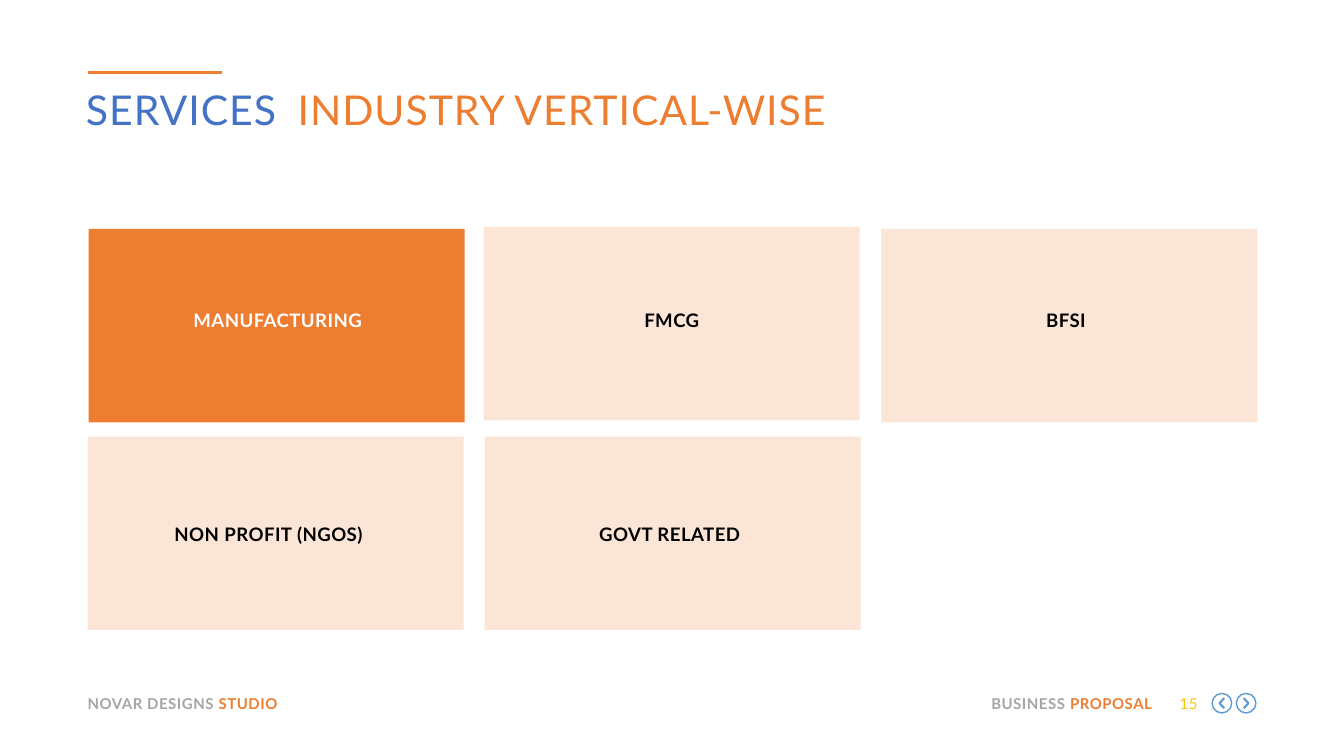
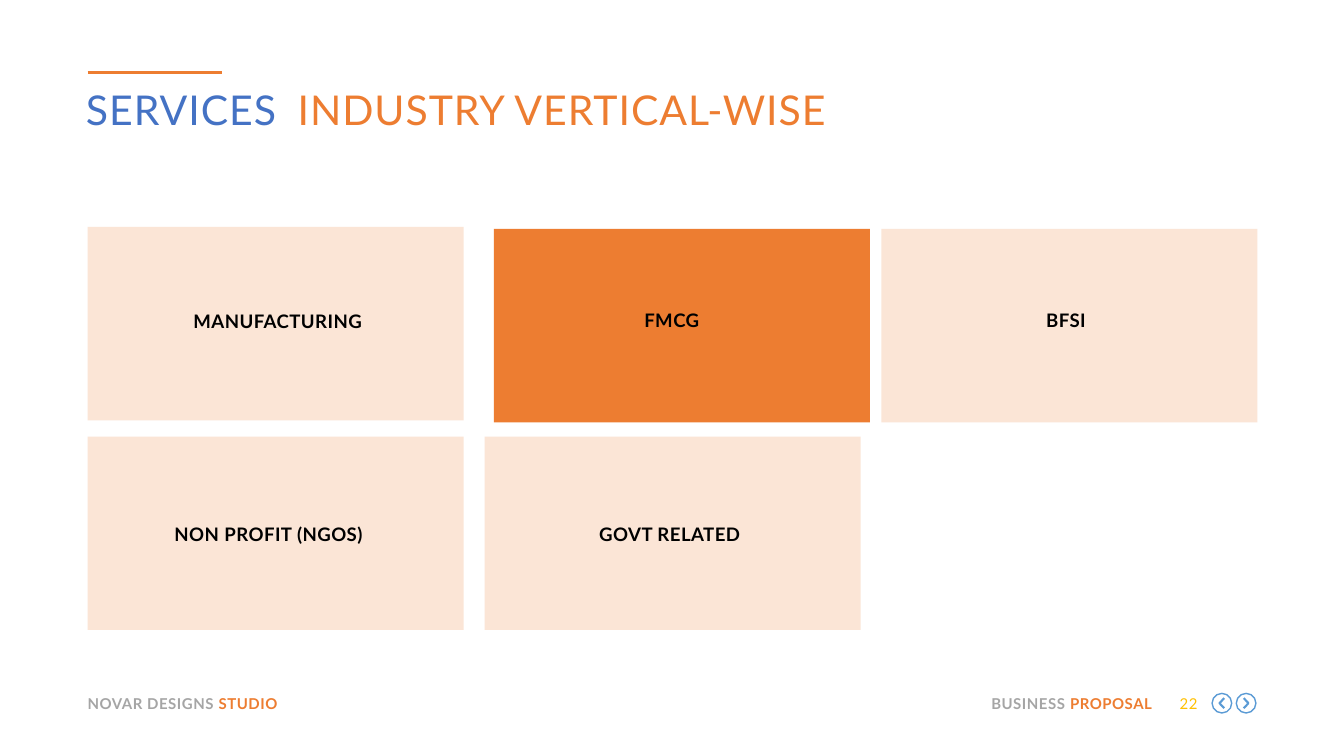
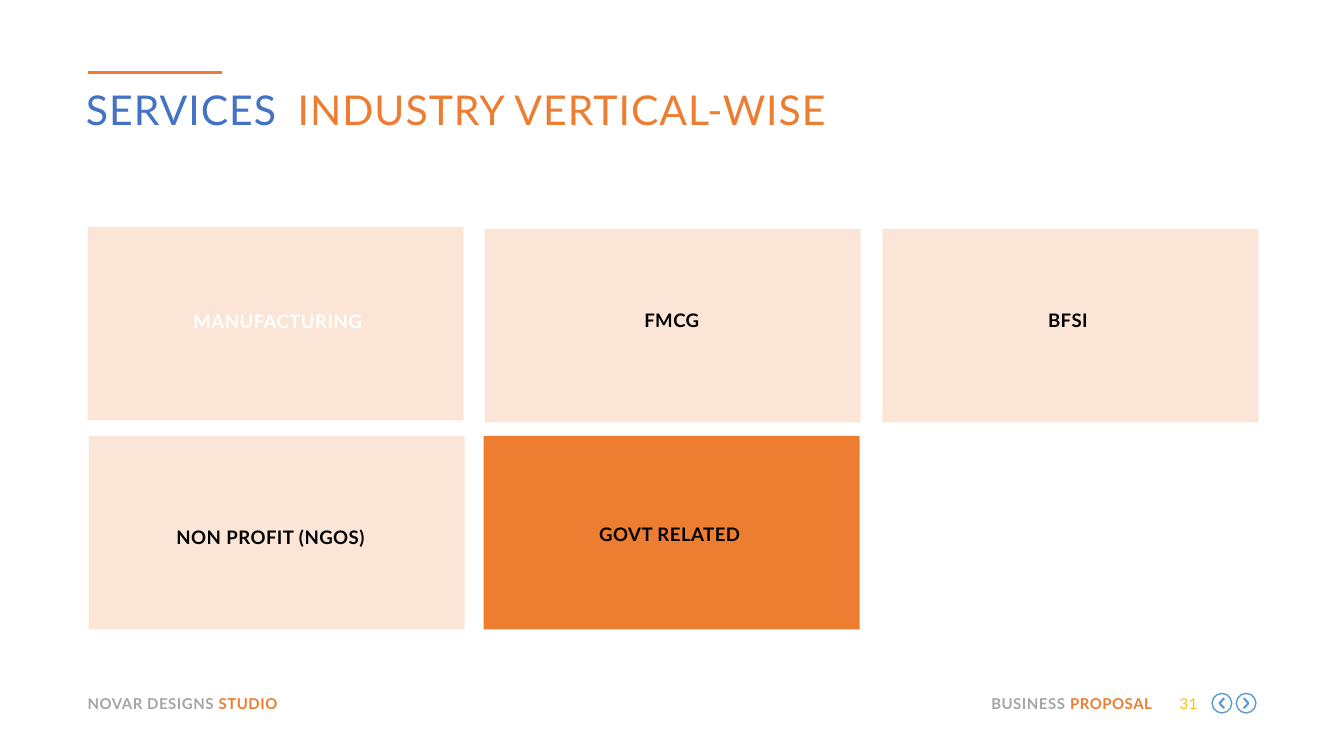
from pptx import Presentation
from pptx.dml.color import RGBColor
from pptx.enum.shapes import MSO_CONNECTOR, MSO_SHAPE
from pptx.enum.text import MSO_ANCHOR, MSO_AUTO_SIZE, PP_ALIGN
from pptx.oxml.ns import qn
from pptx.util import Pt
from lxml import etree

STRAIGHT = MSO_CONNECTOR.STRAIGHT
RECTANGLE, OVAL = MSO_SHAPE.RECTANGLE, MSO_SHAPE.OVAL
LEFT, CENTER, RIGHT = PP_ALIGN.LEFT, PP_ALIGN.CENTER, PP_ALIGN.RIGHT
TOP = MSO_ANCHOR.TOP
NO_AUTOFIT = MSO_AUTO_SIZE.NONE
TITLE_ONLY = 5

FONT = "Lato"
ORANGE, PEACH, BLUE, SKY = "ED7D31", "FBE5D6", "4472C4", "5B9BD5"
GRAY, GOLD, BLACK, WHITE = "A5A5A5", "FFC000", "000000", "FFFFFF"

MARGIN = 62.6
TILE_WIDTH, TILE_HEIGHT = 268.6, 138.2
COLUMN_STEP, ROW_STEP = 283.5, 148.3
TILES_TOP = 163.5
LABEL_WIDTH, LABEL_HEIGHT = 190.8, 15.8
FOOTER_TOP, FOOTER_HEIGHT = 496.1, 13

# name: (column, row, label left, label top)
INDUSTRIES = {
    "MANUFACTURING": (0, 0, 103, 220.3),
    "FMCG": (1, 0, 384.5, 220.3),
    "BFSI": (2, 0, 666, 220.3),
    "NON PROFIT (NGOS)": (0, 1, 96.5, 373.7),
    "GOVT RELATED": (1, 1, 383, 373.7),
}

# Shifts are (right, down) from the regular place of a tile or label.
PAGES = [
    {
        "number": "15", "active": "MANUFACTURING", "white": ["MANUFACTURING"],
        "tile_shifts": {"MANUFACTURING": (0.7, 0), "FMCG": (-0.7, -1.4)},
        "label_shifts": {},
    },
    {
        "number": "22", "active": "FMCG", "white": [],
        "tile_shifts": {"MANUFACTURING": (0, -1.4), "FMCG": (6.7, 0)},
        "label_shifts": {"MANUFACTURING": (0, 1.4)},
    },
    {
        "number": "31", "active": "GOVT RELATED", "white": ["MANUFACTURING"],
        "tile_shifts": {"MANUFACTURING": (0, -1.4), "BFSI": (0.7, 0),
                        "NON PROFIT (NGOS)": (0.7, -0.4),
                        "GOVT RELATED": (-0.7, -0.4)},
        "label_shifts": {"MANUFACTURING": (0, 1.4), "BFSI": (1.4, 0),
                         "NON PROFIT (NGOS)": (1.4, 2.2)},
    },
]


def color(code):
    return RGBColor.from_string(code)


def write(frame, spans, size, align=LEFT, bold=False):
    """Fill a text frame with one line of (text, colour, letter spacing) spans."""
    frame.margin_left = frame.margin_right = 0
    frame.margin_top = frame.margin_bottom = 0
    frame.word_wrap = True
    frame.auto_size = NO_AUTOFIT
    frame.vertical_anchor = TOP
    para = frame.paragraphs[0]
    para.alignment = align
    para.font.name = FONT
    para.font.size = Pt(size)
    para.font.bold = bold
    for text, code, spacing in spans:
        span = para.add_run()
        span.text = text
        span.font.color.rgb = color(code)
        span.font._element.set("spc", str(round(spacing * 100)))


def add_text(page, left, top, width, height, spans, size, align=LEFT, bold=False):
    box = page.shapes.add_textbox(Pt(left), Pt(top), Pt(width), Pt(height))
    write(box.text_frame, spans, size, align, bold)


def add_rule(page, left, top, width):
    rule = page.shapes.add_connector(
        STRAIGHT, Pt(left), Pt(top), Pt(left + width), Pt(top))
    rule.line.color.rgb = color(ORANGE)
    rule.line.width = Pt(2.25)
    etree.SubElement(rule._element.spPr, qn("a:effectLst"))


def add_tile(page, left, top, fill):
    tile = page.shapes.add_shape(
        RECTANGLE, Pt(left), Pt(top), Pt(TILE_WIDTH), Pt(TILE_HEIGHT))
    tile.shadow.inherit = False
    tile.fill.solid()
    tile.fill.fore_color.rgb = color(fill)
    tile.line.fill.background()


def outline(shape, width):
    shape.shadow.inherit = False
    shape.fill.background()
    shape.line.color.rgb = color(SKY)
    shape.line.width = Pt(width)


def add_arrow_button(page, center_x, center_y, direction):
    """Draw a ringed chevron; direction is -1 for left and 1 for right."""
    radius, reach, rise = 7, 1.7, 3.6
    ring = page.shapes.add_shape(
        OVAL, Pt(center_x - radius), Pt(center_y - radius),
        Pt(2 * radius), Pt(2 * radius))
    outline(ring, 1)
    back = Pt(center_x - direction * reach)
    tip = Pt(center_x + direction * reach)
    builder = page.shapes.build_freeform(back, Pt(center_y - rise))
    builder.add_line_segments(
        [(tip, Pt(center_y)), (back, Pt(center_y + rise))], close=False)
    outline(builder.convert_to_shape(), 1.5)


def add_title(page):
    title = page.shapes.title
    title.left, title.top = Pt(61.4), Pt(60.5)
    title.width, title.height = Pt(835), Pt(40.3)
    # The wide letter spacing of the middle span sets the gap between the parts.
    spans = [("SERVICES", BLUE, 0.7), (" ", BLUE, 7.1),
             ("INDUSTRY VERTICAL-WISE", ORANGE, 0.7)]
    write(title.text_frame, spans, 29.3)


def add_footer(page, number):
    entries = [
        (MARGIN, 187, LEFT, True, [("NOVAR DESIGNS ", GRAY), ("STUDIO", ORANGE)]),
        (701.3, 121.7, RIGHT, True, [("BUSINESS ", GRAY), ("PROPOSAL", ORANGE)]),
        (833.8, 21.6, RIGHT, False, [(number, GOLD)]),
    ]
    for left, width, align, bold, parts in entries:
        spans = [(text, code, 0.4) for text, code in parts]
        add_text(page, left, FOOTER_TOP, width, FOOTER_HEIGHT,
                 spans, 10.7, align, bold)
    add_arrow_button(page, 872.8, 502.3, -1)
    add_arrow_button(page, 890.1, 502.3, 1)


def add_industry(page, name, details):
    column, row, label_left, label_top = INDUSTRIES[name]
    right, down = details["tile_shifts"].get(name, (0, 0))
    add_tile(page, MARGIN + column * COLUMN_STEP + right,
             TILES_TOP + row * ROW_STEP + down,
             ORANGE if name == details["active"] else PEACH)
    right, down = details["label_shifts"].get(name, (0, 0))
    ink = WHITE if name in details["white"] else BLACK
    add_text(page, label_left + right, label_top + down, LABEL_WIDTH, LABEL_HEIGHT,
             [(name, ink, 0.3)], 13.3, CENTER, True)


def main():
    deck = Presentation()
    deck.slide_width, deck.slide_height = Pt(960), Pt(540)
    for details in PAGES:
        page = deck.slides.add_slide(deck.slide_layouts[TITLE_ONLY])
        add_rule(page, MARGIN, 51.8, 96)
        add_title(page)
        for name in INDUSTRIES:
            add_industry(page, name, details)
        add_footer(page, details["number"])
    deck.save("out.pptx")


if __name__ == "__main__":
    main()
